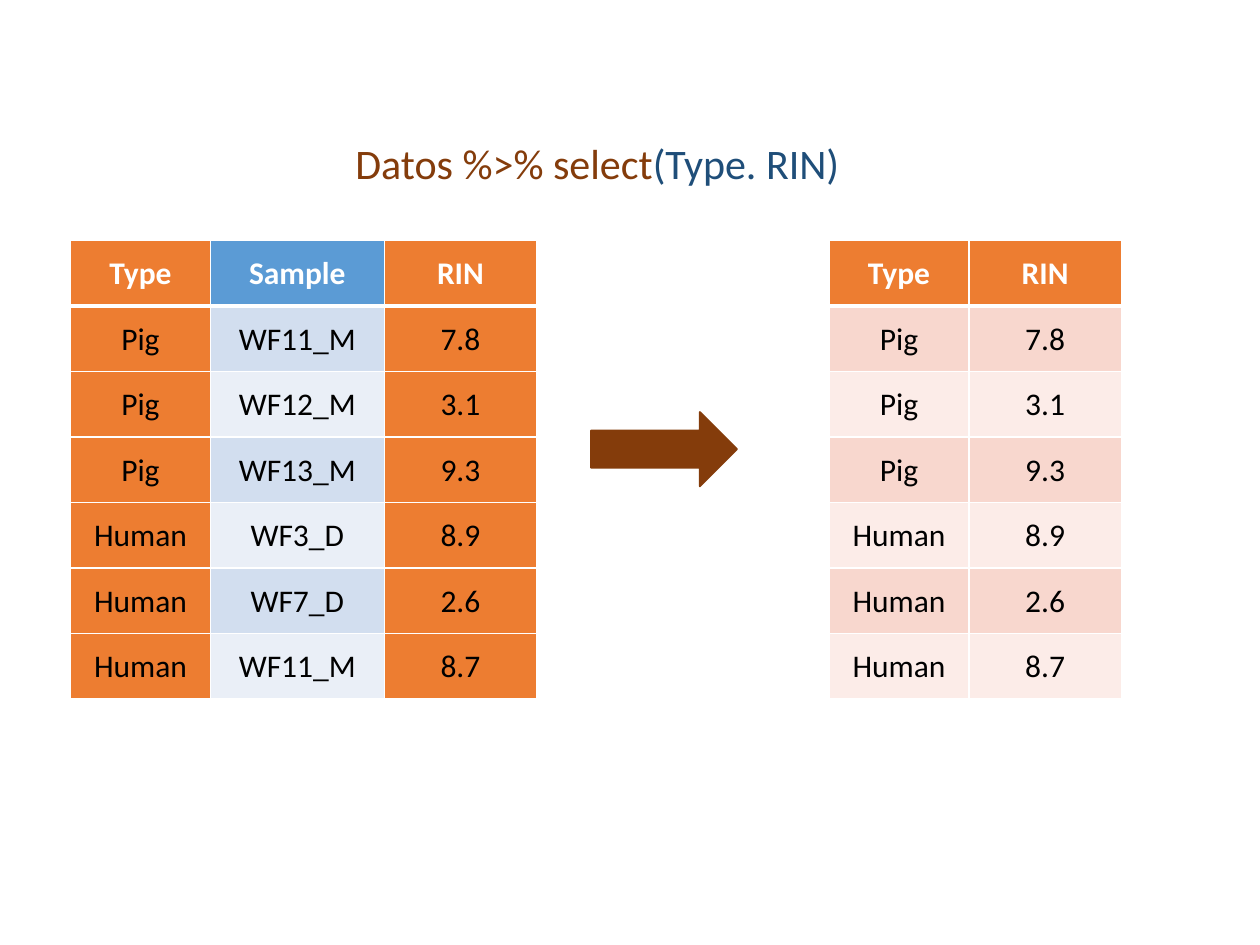
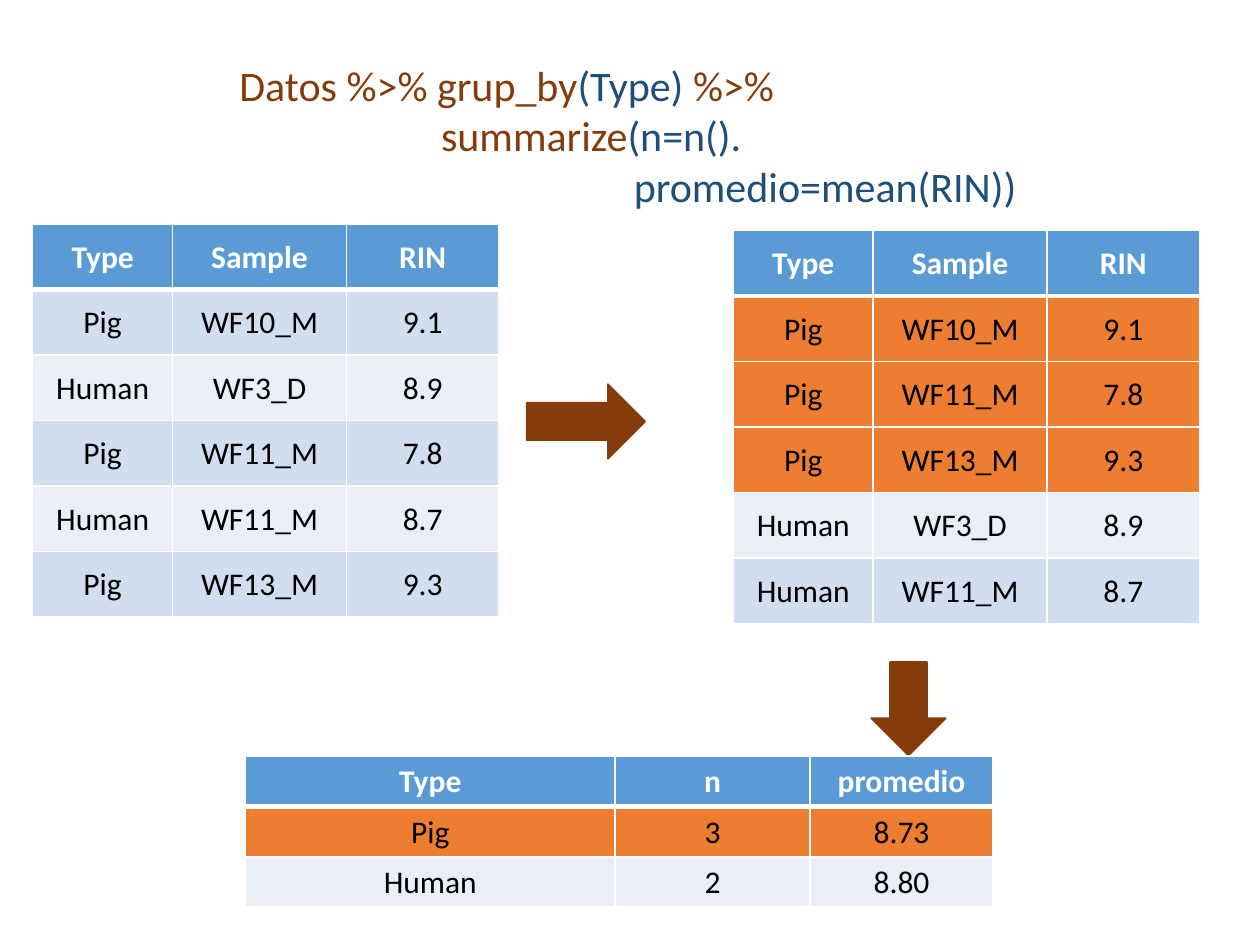
import pptx
import pptx.util
import pptx.dml.color
import pptx.enum.shapes
import pptx.enum.text
import pptx.oxml.ns
import lxml.etree

Inches = pptx.util.Inches
Pt = pptx.util.Pt
Align = pptx.enum.text.PP_ALIGN
Anchor = pptx.enum.text.MSO_ANCHOR

FONT = "Calibri"
WHITE, BLACK = "FFFFFF", "000000"
BROWN, NAVY = "843C0B", "1F4E79"
BLUE, ORANGE = "5B9BD5", "ED7D31"
BLUE_BANDS = ("EAEFF7", "D2DEEF")
PINK_BANDS = ("FCECE8", "F8D7CE")
WIDTHS = (1.11, 1.38, 1.21)
ROW = 0.52
HEADS = ("Type", "Sample", "RIN")

CELL = {
    "vertical_anchor": Anchor.MIDDLE,
    "margin_left": Inches(0.01),
    "margin_right": Inches(0.01),
    "margin_top": Inches(0.01),
    "margin_bottom": 0,
}
TITLE = {
    "word_wrap": True,
    "auto_size": pptx.enum.text.MSO_AUTO_SIZE.NONE,
    "vertical_anchor": Anchor.TOP,
    "margin_left": Inches(0.1),
    "margin_right": Inches(0.1),
    "margin_top": Inches(0.05),
    "margin_bottom": Inches(0.05),
}


def put(item, values):
    for name, value in values.items():
        setattr(item, name, value)


def tint(code):
    return pptx.dml.color.RGBColor.from_string(code)


def paint(item, code):
    item.fill.solid()
    item.fill.fore_color.rgb = tint(code)


def write(para, text, size, code, bold=False):
    run = para.add_run()
    run.text = text
    put(run.font, {"name": FONT, "size": Pt(size), "bold": bold})
    run.font.color.rgb = tint(code)


def place(item, left, top, width, height):
    put(item, {"left": Inches(left), "top": Inches(top),
               "width": Inches(width), "height": Inches(height)})


def add_slide(deck, box, lines):
    slide = deck.slides.add_slide(deck.slide_layouts[5])
    title = slide.shapes.title
    place(title, *box)
    frame = title.text_frame
    put(frame, TITLE)
    for index, (indent, parts) in enumerate(lines):
        para = frame.add_paragraph() if index else frame.paragraphs[0]
        para.alignment = Align.LEFT
        para._p.get_or_add_pPr().set("marL", str(Inches(indent)))
        for text, code in parts:
            write(para, text, 24, code)
    return slide


def add_arrow(slide, box, turn=0):
    kind = pptx.enum.shapes.MSO_SHAPE.RIGHT_ARROW
    arrow = slide.shapes.add_shape(kind, *map(Inches, box))
    arrow.rotation = turn
    arrow.shadow.inherit = False
    paint(arrow, BROWN)
    arrow.line.color.rgb = tint(BROWN)
    arrow.line.width = Pt(1)


def edge(cell, side, width):
    qn = pptx.oxml.ns.qn
    props = cell._tc.get_or_add_tcPr()
    line = lxml.etree.SubElement(props, qn("a:ln" + side), w=str(Pt(width)))
    fill = lxml.etree.SubElement(line, qn("a:solidFill"))
    lxml.etree.SubElement(fill, qn("a:srgbClr"), val=WHITE)


def add_grid(slide, left, top, widths, high, rows, bands, is_hot):
    box = map(Inches, (left, top, sum(widths), high * len(rows)))
    table = slide.shapes.add_table(len(rows), len(widths), *box).table
    for col, width in zip(table.columns, widths):
        col.width = Inches(width)
    for r, row in enumerate(rows):
        table.rows[r].height = Inches(high)
        head = r == 0
        for c, text in enumerate(row):
            cell = table.cell(r, c)
            put(cell, CELL)
            for side, width in (("L", 1), ("R", 1), ("T", 3 if r == 1 else 1),
                                ("B", 3 if head else 1)):
                edge(cell, side, width)
            plain = BLUE if head else bands[r % 2]
            paint(cell, ORANGE if is_hot(r, c) else plain)
            para = cell.text_frame.paragraphs[0]
            para.alignment = Align.CENTER
            write(para, text, 18, WHITE if head else BLACK, head)


def draw_select(deck):
    slide = add_slide(deck, (2.72, 1.04, 4.08, 0.5), [
        (0, [("Datos %>% select", BROWN), ("(Type. RIN)", NAVY)]),
    ])
    rows = [
        HEADS,
        ("Pig", "WF11_M", "7.8"),
        ("Pig", "WF12_M", "3.1"),
        ("Pig", "WF13_M", "9.3"),
        ("Human", "WF3_D", "8.9"),
        ("Human", "WF7_D", "2.6"),
        ("Human", "WF11_M", "8.7"),
    ]
    add_grid(slide, 0.56, 1.91, WIDTHS, ROW, rows, BLUE_BANDS,
             lambda r, c: c != 1)
    add_arrow(slide, (4.69, 3.27, 1.16, 0.59))
    add_grid(slide, 6.58, 1.91, WIDTHS[::2], ROW, [row[::2] for row in rows],
             PINK_BANDS, lambda r, c: r == 0)


def draw_groups(deck):
    slide = add_slide(deck, (1.8, 0.42, 6.42, 1.31), [
        (0, [("Datos %>% grup_by", BROWN), ("(Type) ", NAVY), ("%>%", BROWN)]),
        (1.6, [("summarize", BROWN), ("(n=n().", NAVY)]),
        (3.13, [("promedio=mean(RIN))", NAVY)]),
    ])
    rows = [
        ("Pig", "WF10_M", "9.1"),
        ("Human", "WF3_D", "8.9"),
        ("Pig", "WF11_M", "7.8"),
        ("Human", "WF11_M", "8.7"),
        ("Pig", "WF13_M", "9.3"),
    ]
    groups = sorted(rows, key=lambda row: row[0], reverse=True)
    means = [("Type", "n", "promedio"), ("Pig", "3", "8.73"),
             ("Human", "2", "8.80")]
    add_arrow(slide, (4.18, 3.05, 0.94, 0.59))
    add_arrow(slide, (6.84, 5.33, 0.74, 0.59), 90)
    add_grid(slide, 1.95, 6, (2.93, 1.55, 1.45), 0.4, means, BLUE_BANDS,
             lambda r, c: r == 1)
    add_grid(slide, 0.26, 1.78, WIDTHS, ROW, [HEADS] + rows, BLUE_BANDS,
             lambda r, c: False)
    add_grid(slide, 5.82, 1.83, WIDTHS, ROW, [HEADS] + groups, BLUE_BANDS,
             lambda r, c: 1 <= r <= 3)


def main():
    deck = pptx.Presentation()
    put(deck, {"slide_width": Inches(10), "slide_height": Inches(7.5)})
    draw_select(deck)
    draw_groups(deck)
    deck.save("out.pptx")


if __name__ == "__main__":
    main()
